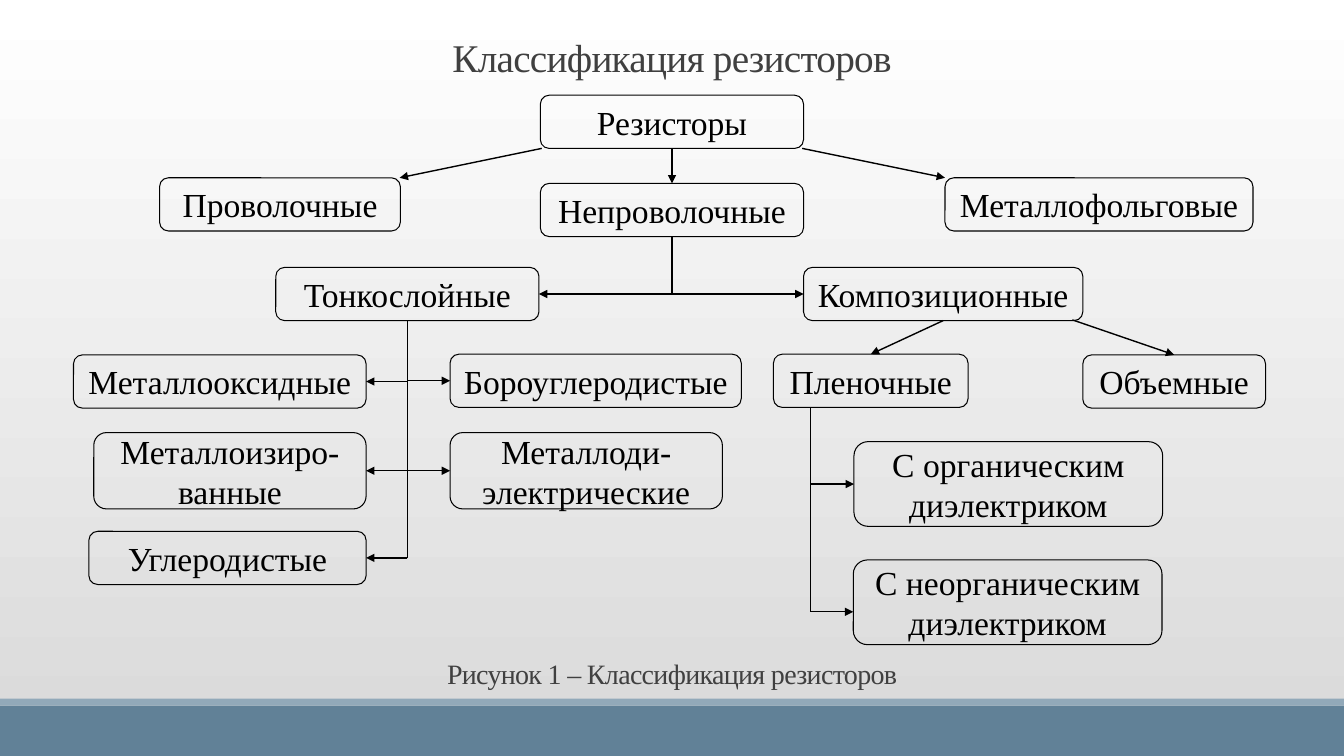
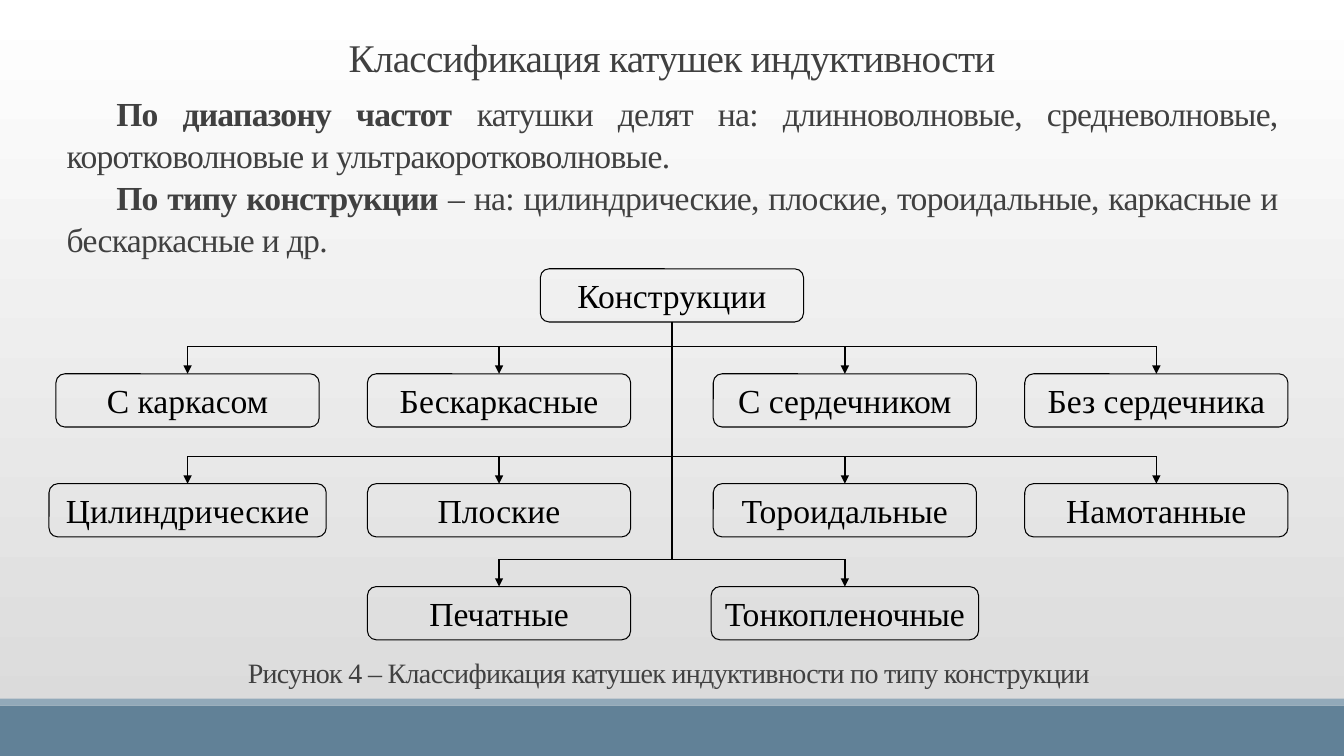
"""Build two slides that classify resistors and inductor coils."""
import dataclasses

import lxml.etree
import pptx
import pptx.dml.color
import pptx.enum.dml
import pptx.enum.shapes
import pptx.enum.text
import pptx.oxml.ns
import pptx.util

Pt = pptx.util.Pt
ALIGN = pptx.enum.text.PP_ALIGN
ANCHOR = pptx.enum.text.MSO_ANCHOR
SHAPE = pptx.enum.shapes.MSO_SHAPE
TOP, LEFT, BOTTOM, RIGHT = range(4)


@dataclasses.dataclass(frozen=True)
class Theme:
    font: str = "Times New Roman"
    ink: str = "000000"
    gray: str = "404040"
    light: str = "FFFFFF"
    dark: str = "D9D9D9"
    band: str = "618197"
    strip: str = "92A9B9"
    title: int = 28
    body: int = 24
    note: int = 20
    edge: float = 0.75
    wire: float = 1
    tight: float = -0.5
    lead: int = 30


THEME = Theme()
WIDE, HIGH = 960, 540
MID = WIDE / 2
LOW = 38
BANDS = [((0, 504, WIDE, 36), THEME.band), ((0, 499, WIDE, 5), THEME.strip)]
HEAD = (84, 24, 792, LOW)

KINDS = {
    "title": "Классификация резисторов",
    "note": "Рисунок 1 – Классификация резисторов",
    "place": (40.5, 463, 879, 30),
    "boxes": {
        "root": ("Резисторы", 386, 68, 188, LOW),
        "wire": ("Проволочные", 114, 127, 172, LOW),
        "plain": ("Непроволочные", 386, 131, 188, LOW),
        "foil": ("Металлофольговые", 675, 127, 220, LOW),
        "thin": ("Тонкослойные", 197, 191, 188, LOW),
        "mix": ("Композиционные", 574, 191, 199.5, LOW),
        "oxide": ("Металлооксидные", 52.5, 253.5, 209, LOW),
        "metal": ("Металлоизиро-\nванные", 67, 309, 194.5, 54.5),
        "boron": ("Бороуглеродистые", 321.5, 253, 208, LOW),
        "duo": ("Металлоди-\nэлектрические", 321.5, 309, 194.5, 54.5),
        "carbon": ("Углеродистые", 63.5, 379.5, 198, LOW),
        "film": ("Пленочные", 552.5, 253, 139, LOW),
        "bulk": ("Объемные", 773.5, 253.5, 130.5, LOW),
        "live": ("С органическим диэлектриком", 610, 315.5, 220.5, 60.5),
        "dead": ("С неорганическим диэлектриком", 609.5, 400, 220.5, 60.5),
    },
    "lines": [
        (("plain", BOTTOM), (MID, 210)),
        (("thin", BOTTOM), (291, 398.5)),
        ((579, 291), (579, 437)),
    ],
    "arrows": [
        (("root", BOTTOM), ("plain", TOP)),
        ((387, 106), (285.5, 127)),
        ((573, 106), (675, 127)),
        (("mix", BOTTOM), ("film", TOP)),
        ((766, 228.5), ("bulk", TOP)),
        ((579, 437), (609.5, 437)),
    ],
    "twigs": [
        (MID, "thin", RIGHT),
        (MID, "mix", LEFT),
        (291, "oxide", RIGHT),
        (291, "boron", LEFT),
        (291, "metal", RIGHT),
        (291, "duo", LEFT),
        (291, "carbon", RIGHT),
        (579, "live", LEFT),
    ],
}

COILS = {
    "title": "Классификация катушек индуктивности",
    "note": "Рисунок 4 – Классификация катушек индуктивности по типу конструкции",
    "place": (35.5, 462, 884, 30),
    "body": [
        [("По диапазону частот", True),
         (" катушки делят на: длинноволновые, средневолновые, "
          "коротковолновые и ультракоротковолновые.", False)],
        [("По типу конструкции", True),
         (" – на: цилиндрические, плоские, тороидальные, каркасные и "
          "бескаркасные и др.", False)],
    ],
    "area": (40.5, 62, 879, 138),
    "root": ("Конструкции", 386, 192, 188, LOW),
    "rise": 19.5,
    "rows": [
        (267, [(-346, "С каркасом", 188), (-123.5, "Бескаркасные", 188),
               (123.5, "С сердечником", 188), (346, "Без сердечника", 188)]),
        (345.5, [(-346, "Цилиндрические", 198), (-123.5, "Плоские", 188),
                 (123.5, "Тороидальные", 188), (346, "Намотанные", 188)]),
        (419, [(-123.5, "Печатные", 188), (123.5, "Тонкопленочные", 191)]),
    ],
}


def color(code):
    return pptx.dml.color.RGBColor.from_string(code)


def points(*nums):
    return [Pt(num) for num in nums]


def write(frame, text, size=THEME.body, ink=THEME.ink, align=ALIGN.CENTER,
          anchor=ANCHOR.MIDDLE, lead=None, tight=None, indent=None):
    """Fill a frame with a string, or with paragraphs of (text, bold) pieces."""
    frame.word_wrap = True
    frame.auto_size = pptx.enum.text.MSO_AUTO_SIZE.NONE
    frame.vertical_anchor = anchor
    paras = [[(text, False)]] if isinstance(text, str) else text
    for num, parts in enumerate(paras):
        para = frame.add_paragraph() if num else frame.paragraphs[0]
        para.alignment = align
        if lead:
            para.line_spacing = lead
        if indent:
            props = para._p.get_or_add_pPr()
            props.set("marL", "0")
            props.set("indent", str(Pt(indent)))
        for part, bold in parts:
            for row, line in enumerate(part.split("\n")):
                if row:
                    para.add_line_break()
                run = para.add_run()
                run.text = line
                font = run.font
                font.name, font.size, font.bold = THEME.font, Pt(size), bold
                font.color.rgb = color(ink)
                if tight:
                    run._r.get_or_add_rPr().set("spc", str(int(tight * 100)))


def label(slide, text, place, **form):
    box = slide.shapes.add_textbox(*points(*place))
    write(box.text_frame, text, ink=THEME.gray, tight=THEME.tight,
          lead=Pt(THEME.lead), **form)


def node(slide, text, *place):
    box = slide.shapes.add_shape(SHAPE.ROUNDED_RECTANGLE, *points(*place))
    box.shadow.inherit = False
    box.fill.background()
    box.line.color.rgb = color(THEME.ink)
    box.line.width = Pt(THEME.edge)
    write(box.text_frame, text)
    return box


def middle(box, side):
    x, y = box.left + box.width / 2, box.top + box.height / 2
    spots = [(x, box.top), (box.left, y),
             (x, box.top + box.height), (box.left + box.width, y)]
    return tuple(spot / Pt(1) for spot in spots[side])


def link(slide, start, end, arrow=False):
    """Draw a line between ends, each a point or a (box, side) pair."""
    ends = [start, end]
    tied = [hasattr(tip[0], "shape_id") for tip in ends]
    spots = [middle(*tip) if tie else tip for tip, tie in zip(ends, tied)]
    line = slide.shapes.add_connector(
        pptx.enum.shapes.MSO_CONNECTOR.STRAIGHT, *points(*spots[0], *spots[1]))
    if tied[0]:
        line.begin_connect(*start)
    if tied[1]:
        line.end_connect(*end)
    line.line.color.rgb = color(THEME.ink)
    line.line.width = Pt(THEME.wire)
    qn = pptx.oxml.ns.qn
    if arrow:
        tail = lxml.etree.SubElement(line.line._get_or_add_ln(), qn("a:tailEnd"))
        tail.set("type", "triangle")
    lxml.etree.SubElement(line._element.spPr, qn("a:effectLst"))


def dress(deck, slide):
    """Give the master its background and its bands."""
    master = deck.slide_master
    fill = master.background.fill
    fill.gradient()
    fill.gradient_angle = 270
    for stop, code in zip(fill.gradient_stops, (THEME.light, THEME.dark)):
        stop.color.rgb = color(code)
    for num, (place, code) in enumerate(BANDS):
        band = slide.shapes.add_shape(SHAPE.RECTANGLE, *points(*place))
        band.shadow.inherit = False
        band.fill.solid()
        band.fill.fore_color.rgb = color(code)
        band.line.fill.background()
        master.shapes._spTree.insert(2 + num, band._element)


def start(deck, data):
    slide = deck.slides.add_slide(deck.slide_layouts[5])
    title = slide.shapes.title
    title.left, title.top, title.width, title.height = points(*HEAD)
    write(title.text_frame, data["title"], size=THEME.title, ink=THEME.gray,
          lead=0.85, tight=THEME.tight)
    label(slide, data["note"], data["place"], size=THEME.note)
    return slide


def kinds(deck, data):
    slide = start(deck, data)
    boxes = {key: node(slide, *box) for key, box in data["boxes"].items()}

    def find(tip):
        return (boxes.get(tip[0], tip[0]), tip[1])

    for group in ("lines", "arrows"):
        for tips in data[group]:
            link(slide, *map(find, tips), arrow=group == "arrows")
    for x, key, side in data["twigs"]:
        box = boxes[key]
        link(slide, (x, middle(box, side)[1]), (box, side), arrow=True)
    return slide


def coils(deck, data):
    slide = start(deck, data)
    label(slide, data["body"], data["area"], align=ALIGN.JUSTIFY,
          anchor=ANCHOR.TOP, indent=35.5)
    root = node(slide, *data["root"])
    for y, items in data["rows"]:
        bus = y - data["rise"]
        link(slide, (MID + items[0][0], bus), (MID + items[-1][0], bus))
        for shift, text, width in items:
            x = MID + shift
            box = node(slide, text, x - width / 2, y, width, LOW)
            link(slide, (x, bus), (box, TOP), arrow=True)
    link(slide, (root, BOTTOM), (MID, bus))


def main():
    deck = pptx.Presentation()
    deck.slide_width, deck.slide_height = points(WIDE, HIGH)
    first = kinds(deck, KINDS)
    dress(deck, first)
    coils(deck, COILS)
    deck.save("out.pptx")


if __name__ == "__main__":
    main()
